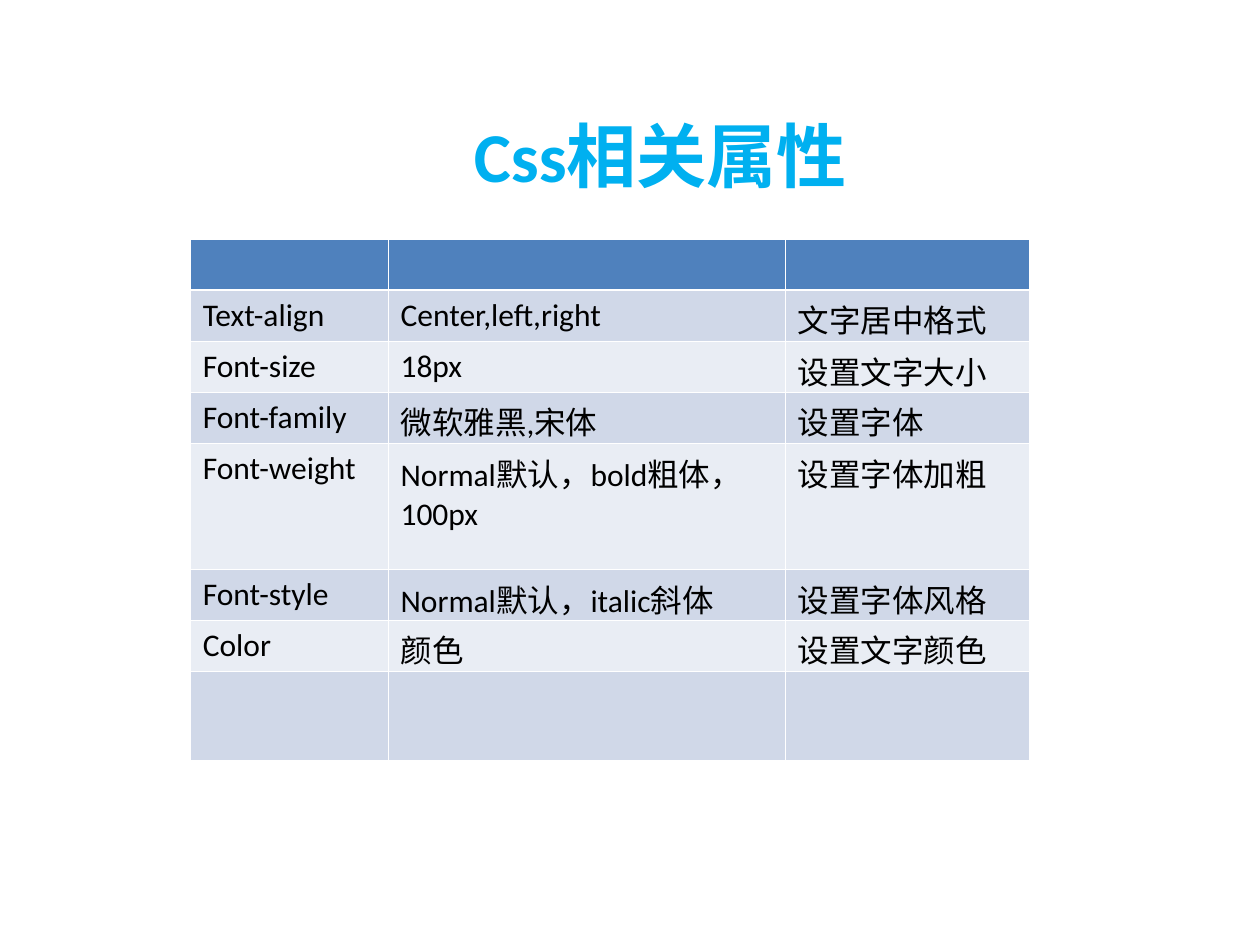
import dataclasses

import lxml.etree
import pptx
import pptx.dml.color
import pptx.enum.text
import pptx.oxml.ns
import pptx.util

Inches = pptx.util.Inches
Pt = pptx.util.Pt


@dataclasses.dataclass(frozen=True)
class Theme:
    font: str = "Calibri"
    title_size: int = 40
    body_size: int = 18
    title: str = "00B0F0"
    text: str = "000000"
    header: str = "4F81BD"
    bands: tuple = ("D0D8E8", "E9EDF4")
    border: str = "FFFFFF"
    thin: float = 0.45
    thick: float = 1.47


THEME = Theme()
COLUMN_WIDTHS = (1.57, 3.15, 1.94)
ROW_HEIGHTS = (0.4, 0.41, 0.4, 0.41, 1, 0.4, 0.41, 0.7)
PROPERTIES = (
    ("", "", ""),
    ("Text-align", "Center,left,right", "文字居中格式"),
    ("Font-size", "18px", "设置文字大小"),
    ("Font-family", "微软雅黑,宋体", "设置字体"),
    ("Font-weight", "Normal默认，bold粗体，100px", "设置字体加粗"),
    ("Font-style", "Normal默认，italic斜体", "设置字体风格"),
    ("Color", "颜色", "设置文字颜色"),
    ("", "", ""),
)


def rgb(value):
    return pptx.dml.color.RGBColor.from_string(value)


def write_text(frame, text, *, size=THEME.body_size, color=THEME.text,
               bold=False, align=pptx.enum.text.PP_ALIGN.LEFT):
    para = frame.paragraphs[0]
    para.alignment = align
    span = para.add_run()
    span.text = text
    span.font.name = THEME.font
    span.font.size = Pt(size)
    span.font.bold = bold
    span.font.color.rgb = rgb(color)


def add_border(cell, side, width):
    """Draw one side of a cell; call before the cell is filled."""
    qn = pptx.oxml.ns.qn
    line = lxml.etree.SubElement(cell._tc.get_or_add_tcPr(), qn(f"a:ln{side}"),
                                 w=str(int(Pt(width))))
    fill = lxml.etree.SubElement(line, qn("a:solidFill"))
    lxml.etree.SubElement(fill, qn("a:srgbClr"), val=THEME.border)


def place_title(page, left, top, width, height):
    box = page.shapes.title
    box.left, box.top, box.width, box.height = left, top, width, height
    frame = box.text_frame
    frame.word_wrap = True
    frame.auto_size = pptx.enum.text.MSO_AUTO_SIZE.SHAPE_TO_FIT_TEXT
    frame.vertical_anchor = pptx.enum.text.MSO_ANCHOR.TOP
    write_text(frame, "Css相关属性", size=THEME.title_size, color=THEME.title,
               bold=True, align=pptx.enum.text.PP_ALIGN.CENTER)


def style_cell(cell, row):
    for side in "LRTB":
        under_header = (row, side) in ((0, "B"), (1, "T"))
        add_border(cell, side, THEME.thick if under_header else THEME.thin)
    cell.fill.solid()
    cell.fill.fore_color.rgb = rgb(
        THEME.bands[(row - 1) % 2] if row else THEME.header)


def place_property_table(page, left, top, width, height):
    table = page.shapes.add_table(len(ROW_HEIGHTS), len(COLUMN_WIDTHS),
                                  left, top, width, height).table
    for column, size in zip(table.columns, COLUMN_WIDTHS):
        column.width = Inches(size)
    for row, size in zip(table.rows, ROW_HEIGHTS):
        row.height = Inches(size)
    for row, texts in enumerate(PROPERTIES):
        for column, text in enumerate(texts):
            cell = table.cell(row, column)
            style_cell(cell, row)
            if text:
                write_text(cell.text_frame, text)


def main():
    deck = pptx.Presentation()
    deck.slide_width, deck.slide_height = Inches(10), Inches(7.5)
    page = deck.slides.add_slide(deck.slide_layouts.get_by_name("Title Only"))
    place_title(page, Inches(0.83), Inches(0.84), Inches(8.82), Inches(0.77))
    place_property_table(page, Inches(1.51), Inches(1.9),
                         Inches(sum(COLUMN_WIDTHS)), Inches(sum(ROW_HEIGHTS)))
    deck.save("out.pptx")


if __name__ == "__main__":
    main()
